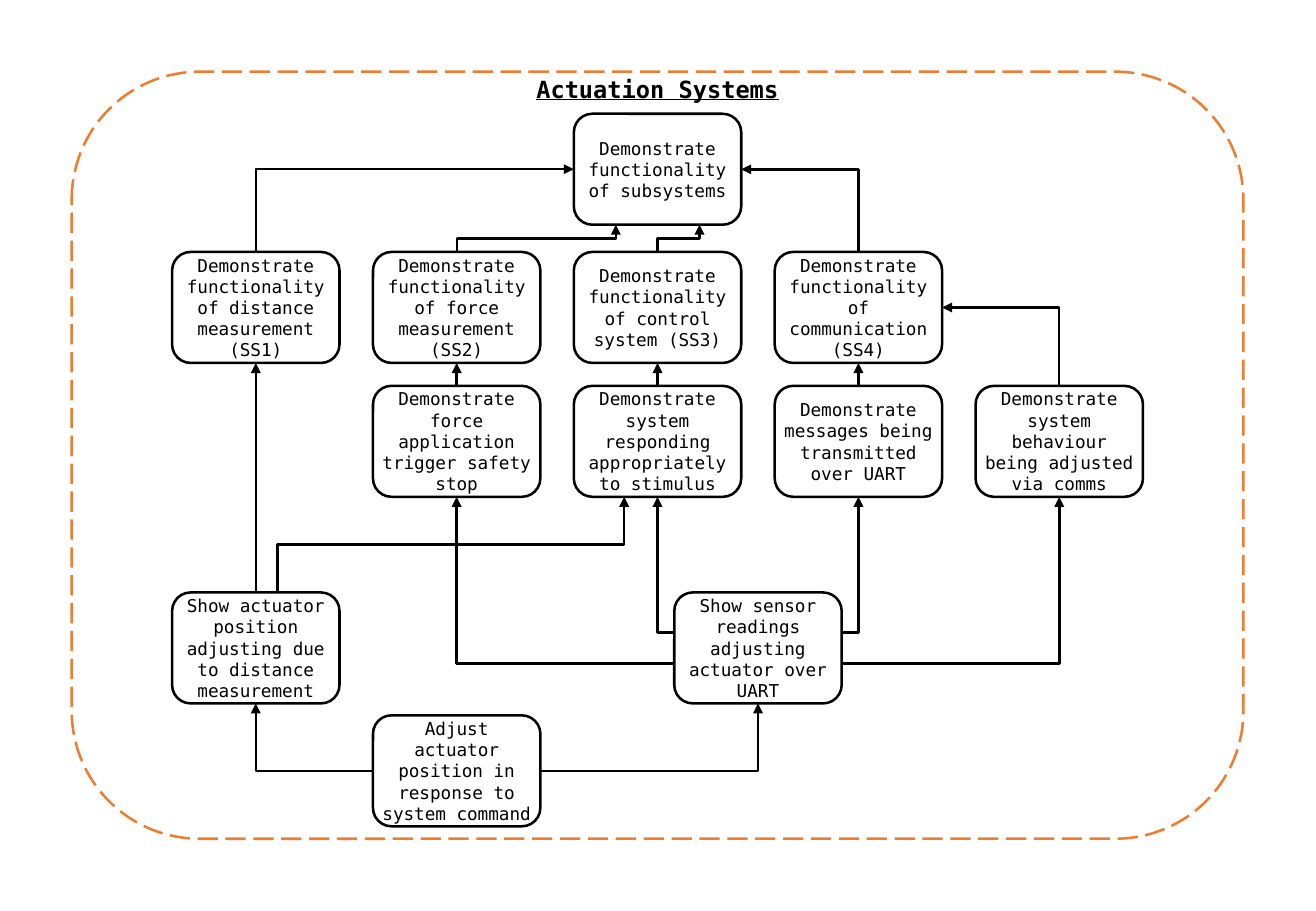
from lxml import etree
from pptx import Presentation
from pptx import util as u
from pptx.dml import color
from pptx.enum import dml as line_styles, shapes, text
from pptx.oxml import ns

TITLE = "Actuation Systems"
FONT = "DejaVu Sans Mono"
BLACK, WHITE, ORANGE = "000000", "FFFFFF", "ED7D31"

STEPS = {
    "subsystems": (2, 0, "Demonstrate functionality of subsystems"),
    "distance": (0, 1, "Demonstrate functionality of distance measurement (SS1)"),
    "force": (1, 1, "Demonstrate functionality of force measurement (SS2)"),
    "control": (2, 1, "Demonstrate functionality of control system (SS3)"),
    "communication": (3, 1, "Demonstrate functionality of communication (SS4)"),
    "safety stop": (1, 2, "Demonstrate force application trigger safety stop"),
    "stimulus": (2, 2, "Demonstrate system responding appropriately to stimulus"),
    "messages": (3, 2, "Demonstrate messages being transmitted over UART"),
    "behaviour": (4, 2, "Demonstrate system behaviour being adjusted via comms"),
    "position": (0, 3, "Show actuator position adjusting due to distance measurement"),
    "sensor": (2.5, 3, "Show sensor readings adjusting actuator over UART"),
    "command": (1, 4, "Adjust actuator position in response to system command"),
}

TOP, BOTTOM, LEFT, RIGHT = (0.5, 0), (0.5, 1), (0, 0.5), (1, 0.5)
LINKS = [
    ("distance", TOP, "subsystems", LEFT, "rise then turn"),
    ("force", TOP, "subsystems", (0.25, 1), "step"),
    ("control", TOP, "subsystems", (0.75, 1), "step"),
    ("communication", TOP, "subsystems", RIGHT, "rise then turn"),
    ("safety stop", TOP, "force", BOTTOM, "straight"),
    ("stimulus", TOP, "control", BOTTOM, "straight"),
    ("messages", TOP, "communication", BOTTOM, "straight"),
    ("behaviour", TOP, "communication", RIGHT, "rise then turn"),
    ("position", TOP, "distance", BOTTOM, "straight"),
    ("position", (0.63, 0), "stimulus", (0.3, 1), "step"),
    ("sensor", (0, 0.64), "safety stop", BOTTOM, "turn then rise"),
    ("sensor", (0, 0.36), "stimulus", BOTTOM, "turn then rise"),
    ("sensor", (1, 0.36), "messages", BOTTOM, "turn then rise"),
    ("sensor", (1, 0.64), "behaviour", BOTTOM, "turn then rise"),
    ("command", LEFT, "position", BOTTOM, "turn then rise"),
    ("command", RIGHT, "sensor", BOTTOM, "turn then rise"),
]

PAGE_H = 19.05
BORDER_LEFT, BORDER_TOP, BORDER_W, BORDER_H = 1.5, 1.5, 24.5, 16.04
STEP_W, STEP_H = 3.5, 2.32
FIRST_COLUMN, COLUMN_PITCH = 3.6, 4.2
ROW_TOPS = [2.38, 5.27, 8.07, 12.39, 14.96]
TITLE_W, TITLE_H = 7.6, 0.74


def paint(target, hex_color):
    target.rgb = color.RGBColor.from_string(hex_color)


def outline(line, hex_color):
    paint(line.color, hex_color)
    line.width = u.Pt(1.5)


def add_box(slide, left, top, width, height):
    box = slide.shapes.add_shape(
        shapes.MSO_SHAPE.FLOWCHART_ALTERNATE_PROCESS,
        u.Cm(left), u.Cm(top), u.Cm(width), u.Cm(height))
    box.shadow.inherit = False
    box.fill.background()
    return box


def write(box, words, size, heading=False):
    frame = box.text_frame
    frame.word_wrap = True
    frame.vertical_anchor = text.MSO_ANCHOR.MIDDLE
    frame.margin_left = frame.margin_right = 0
    frame.margin_top = frame.margin_bottom = 0
    paragraph = frame.paragraphs[0]
    paragraph.alignment = text.PP_ALIGN.CENTER
    run = paragraph.add_run()
    run.text = words
    run.font.name = FONT
    run.font.size = u.Pt(size)
    run.font.bold = run.font.underline = heading
    paint(run.font.color, BLACK)


def step_corner(step):
    column, row, _ = STEPS[step]
    return FIRST_COLUMN + column * COLUMN_PITCH, ROW_TOPS[row]


def port(step, side):
    left, top = step_corner(step)
    return left + side[0] * STEP_W, top + side[1] * STEP_H


def add_link(slide, source, exit_side, target, entry_side, route):
    x1, y1 = port(source, exit_side)
    x2, y2 = port(target, entry_side)
    quarter_turn = route in ("rise then turn", "step")
    if quarter_turn:
        mid_x, mid_y = (x1 + x2) / 2, (y1 + y2) / 2
        half_w, half_h = (y2 - y1) / 2, (x1 - x2) / 2
        x1, x2 = mid_x - half_w, mid_x + half_w
        y1, y2 = mid_y - half_h, mid_y + half_h
    kind = shapes.MSO_CONNECTOR.STRAIGHT if route == "straight" else shapes.MSO_CONNECTOR.ELBOW
    link = slide.shapes.add_connector(kind, u.Cm(x1), u.Cm(y1), u.Cm(x2), u.Cm(y2))
    outline(link.line, BLACK)
    properties = link._element.spPr
    if quarter_turn:
        properties.find(ns.qn("a:xfrm")).set("rot", "5400000")
    if route in ("rise then turn", "turn then rise"):
        properties.find(ns.qn("a:prstGeom")).set("prst", "bentConnector2")
    etree.SubElement(properties.find(ns.qn("a:ln")), ns.qn("a:tailEnd"), type="triangle")
    etree.SubElement(properties, ns.qn("a:effectLst"))


def main():
    deck = Presentation()
    deck.slide_height = u.Cm(PAGE_H)
    deck.slide_width = deck.slide_height * 13 // 9
    slide = deck.slides.add_slide(deck.slide_layouts[6])

    border = add_box(slide, BORDER_LEFT, BORDER_TOP, BORDER_W, BORDER_H)
    outline(border.line, ORANGE)
    border.line.dash_style = line_styles.MSO_LINE.LONG_DASH

    title_left = BORDER_LEFT + (BORDER_W - TITLE_W) / 2
    heading = add_box(slide, title_left, BORDER_TOP, TITLE_W, TITLE_H)
    heading.line.fill.background()
    write(heading, TITLE, 14, heading=True)

    for link in LINKS:
        add_link(slide, *link)

    for step, (_, _, words) in STEPS.items():
        box = add_box(slide, *step_corner(step), STEP_W, STEP_H)
        box.fill.solid()
        paint(box.fill.fore_color, WHITE)
        outline(box.line, BLACK)
        write(box, words, 10.5)

    deck.save("out.pptx")


if __name__ == "__main__":
    main()
